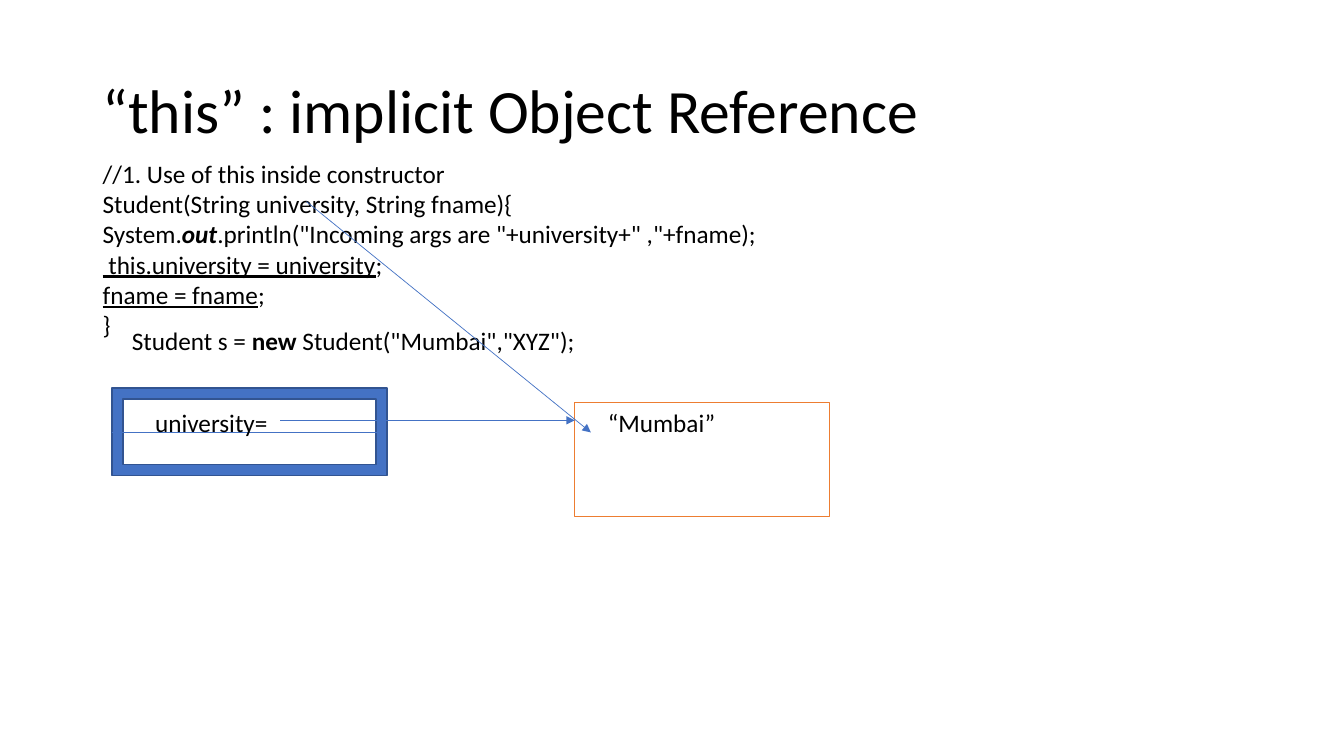
from dataclasses import dataclass
from typing import Optional

import lxml.etree
import pptx
import pptx.dml.color
import pptx.enum.shapes
import pptx.enum.text
import pptx.oxml.ns
import pptx.slide
import pptx.util

Inches = pptx.util.Inches
Kind = pptx.enum.shapes.MSO_SHAPE
Anchor = pptx.enum.text.MSO_ANCHOR

BLUE = "4472C4"
NAVY = "325491"
ORANGE = "ED7D31"
BLACK = "000000"


@dataclass
class Run:
    text: str
    bold: bool = False
    slant: bool = False
    under: bool = False


@dataclass
class Label:
    box: tuple[float, float, float, float]
    lines: list[list[Run]]
    size: int = 18
    wrap: bool = True
    anchor: Anchor = Anchor.TOP
    space: float = 1.0


@dataclass
class Block:
    box: tuple[float, float, float, float]
    kind: Kind
    line: str
    width: float
    fill: Optional[str] = None


@dataclass
class Arrow:
    start: tuple[float, float]
    end: tuple[float, float]


ITEMS = [
    Label((0.92, 0.4, 11.5, 1.45), [[Run("“this” : implicit Object Reference")]],
          size=44, anchor=Anchor.MIDDLE, space=0.9),
    Label((0.92, 1.52, 9.39, 2.22), [
        [Run("//1. Use of this inside constructor")],
        [Run("Student(String university, String fname){")],
        [Run("System."), Run("out", bold=True, slant=True),
         Run('.println("Incoming args are "+university+" ,"+fname);')],
        [Run(" this.university = university", under=True), Run(";")],
        [Run("fname = fname", under=True), Run(";")],
        [Run("}")],
    ]),
    Block((1.11, 3.85, 2.73, 0.87), Kind.FRAME, NAVY, 1, BLUE),
    Label((1.21, 3.18, 4.65, 0.71), [
        [Run("Student s = "), Run("new", bold=True), Run(' Student("Mumbai","XYZ");')],
    ], wrap=False),
    Block((5.7, 3.99, 2.53, 1.13), Kind.RECTANGLE, ORANGE, 0.75),
    Arrow((3.04, 2), (5.86, 4.29)),
    Label((5.93, 3.99, 1.51, 0.41), [[Run("“Mumbai”")]]),
    Arrow((1.11, 4.29), (3.83, 4.29)),
    Label((1.44, 3.99, 2.39, 0.4), [[Run("university=")]]),
    Arrow((2.78, 4.17), (5.7, 4.17)),
]


def color(code: str) -> pptx.dml.color.RGBColor:
    return pptx.dml.color.RGBColor.from_string(code)


def add_label(slide: pptx.slide.Slide, label: Label) -> None:
    frame = slide.shapes.add_textbox(*map(Inches, label.box)).text_frame
    frame.word_wrap = label.wrap
    frame.vertical_anchor = label.anchor
    for index, line in enumerate(label.lines):
        para = frame.add_paragraph() if index else frame.paragraphs[0]
        para.line_spacing = label.space
        para.font.name = "Calibri"
        para.font.size = pptx.util.Pt(label.size)
        para.font.color.rgb = color(BLACK)
        for part in line:
            run = para.add_run()
            run.text = part.text
            if part.bold:
                run.font.bold = True
            if part.slant:
                run.font.italic = True
            if part.under:
                run.font.underline = True


def add_block(slide: pptx.slide.Slide, block: Block) -> None:
    shape = slide.shapes.add_shape(block.kind, *map(Inches, block.box))
    shape.shadow.inherit = False
    shape.line.color.rgb = color(block.line)
    shape.line.width = pptx.util.Pt(block.width)
    if block.fill:
        shape.fill.solid()
        shape.fill.fore_color.rgb = color(block.fill)
    else:
        shape.fill.background()


def add_arrow(slide: pptx.slide.Slide, arrow: Arrow) -> None:
    link = slide.shapes.add_connector(
        pptx.enum.shapes.MSO_CONNECTOR.STRAIGHT,
        *map(Inches, arrow.start + arrow.end))
    link.line.color.rgb = color(BLUE)
    link.line.width = pptx.util.Pt(0.5)
    qn = pptx.oxml.ns.qn
    props = link._element.spPr
    lxml.etree.SubElement(props.find(qn("a:ln")), qn("a:tailEnd"), type="triangle")
    lxml.etree.SubElement(props, qn("a:effectLst"))


def main() -> None:
    deck = pptx.Presentation()
    deck.slide_width = Inches(13.33)
    deck.slide_height = Inches(7.5)
    slide = deck.slides.add_slide(deck.slide_layouts[6])
    draw = {Label: add_label, Block: add_block, Arrow: add_arrow}
    for item in ITEMS:
        draw[type(item)](slide, item)
    deck.save("out.pptx")


if __name__ == "__main__":
    main()
